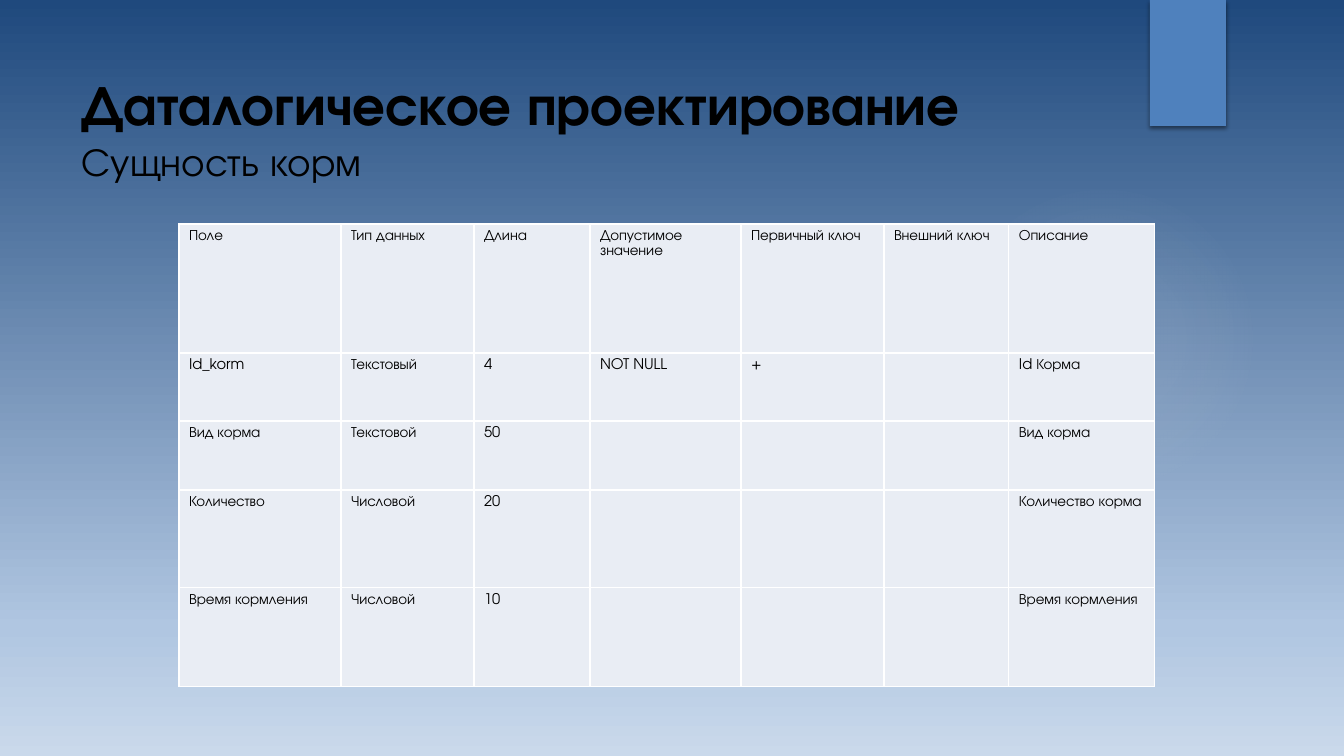
import pptx
import pptx.util
import pptx.oxml
from pptx.dml.color import RGBColor
from pptx.enum.shapes import MSO_SHAPE
from pptx.enum.text import MSO_ANCHOR, PP_ALIGN

TITLE = ("Даталогическое проектирование", "Сущность корм")
TITLE_SIZES = (40, 28)
ROWS = [
    ("Поле", "Тип данных", "Длина", "Допустимое значение", "Первичный ключ", "Внешний ключ", "Описание"),
    ("Id_korm", "Текстовый", "4", "NOT NULL", "+", "", "Id Корма"),
    ("Вид корма", "Текстовой", "50", "", "", "", "Вид корма"),
    ("Количество", "Числовой", "20", "", "", "", "Количество корма"),
    ("Время кормления", "Числовой", "10", "", "", "", "Время кормления"),
]
COL_WIDTHS = (162, 133, 116, 151, 143, 125, 146)
ROW_HEIGHTS = (129, 68, 69, 98, 99)
FONT = "TeX Gyre Adventor"
COLORS = {"text": "000000", "cell": "E9EDF4", "border": "FFFFFF", "tab": "4F81BD",
          "glow": "F5F4ED", "sky_top": "1F497D", "sky_low": "B0C6E1", "sky_end": "CAD9EB"}
SKY = [(0, "sky_top", 100), (83, "sky_low", 100), (100, "sky_end", 100)]
GLOW = [(0, "glow", 7), (36, "glow", 6), (69, "glow", 0)]
LINEAR = '<a:lin ang="5400000" scaled="0"/>'
RADIAL = '<a:path path="circle"><a:fillToRect l="50000" t="50000" r="50000" b="50000"/></a:path>'
NS = 'xmlns:a="http://schemas.openxmlformats.org/drawingml/2006/main"'


def px(n):
    return pptx.util.Emu(round(n * 914400 / 100.8))


def rgb(name):
    return RGBColor.from_string(COLORS[name])


def color_xml(name, alpha):
    return f'<a:srgbClr val="{COLORS[name]}"><a:alpha val="{alpha * 1000}"/></a:srgbClr>'


def gradient(stops, direction):
    gs = "".join(f'<a:gs pos="{pos * 1000}">{color_xml(name, alpha)}</a:gs>' for pos, name, alpha in stops)
    return pptx.oxml.parse_xml(f'<a:gradFill {NS} rotWithShape="1"><a:gsLst>{gs}</a:gsLst>{direction}</a:gradFill>')


def replace_fill(fill, new):
    """Swap the solid fill just set for a gradient element."""
    fill.solid()
    old = fill._xPr.find(pptx.oxml.ns.qn("a:solidFill"))
    old.getparent().replace(old, new)


def add_plain(s, kind, x, y, w, h):
    sp = s.shapes.add_shape(kind, px(x), px(y), px(w), px(h))
    sp.shadow.inherit = False
    sp.line.fill.background()
    return sp


def style_run(r, size, bold=False):
    r.font.name, r.font.size, r.font.bold = FONT, pptx.util.Pt(size), bold
    r.font.color.rgb = rgb("text")


def add_backdrop(s):
    replace_fill(s.background.fill, gradient(SKY, LINEAR))
    glow = add_plain(s, MSO_SHAPE.OVAL, 949, 184, 310, 310)
    replace_fill(glow.fill, gradient(GLOW, RADIAL))
    tab = add_plain(s, MSO_SHAPE.RECTANGLE, 1150, 0, 76, 126)
    tab.fill.solid()
    tab.fill.fore_color.rgb = rgb("tab")
    effects = tab._element.spPr.find(pptx.oxml.ns.qn("a:effectLst"))
    effects.append(pptx.oxml.parse_xml(
        f'<a:outerShdw {NS} blurRad="38100" dist="25400" dir="5400000" rotWithShape="0">'
        f'{color_xml("text", 45)}</a:outerShdw>'))


def add_title(s):
    tf = s.shapes.add_textbox(px(72), px(50), px(1037), px(154)).text_frame
    tf.word_wrap = True
    tf.vertical_anchor = MSO_ANCHOR.MIDDLE
    p = tf.paragraphs[0]
    p.text = "\v".join(TITLE)
    p.alignment = PP_ALIGN.LEFT
    for r, size, bold in zip(p.runs, TITLE_SIZES, (True, False)):
        style_run(r, size, bold)


def style_cell(cell, text):
    cell.fill.solid()
    cell.fill.fore_color.rgb = rgb("cell")
    p = cell.text_frame.paragraphs[0]
    p.text = text
    p.line_spacing = 1.07
    for r in p.runs:
        style_run(r, 10.5)
    tcPr = cell._tc.get_or_add_tcPr()
    for i, side in enumerate(("lnL", "lnR", "lnT", "lnB")):
        tcPr.insert(i, pptx.oxml.parse_xml(
            f'<a:{side} {NS} w="12700"><a:solidFill>{color_xml("border", 100)}</a:solidFill></a:{side}>'))


def add_field_table(s):
    table = s.shapes.add_table(len(ROWS), len(COL_WIDTHS), px(179), px(224),
                               px(sum(COL_WIDTHS)), px(sum(ROW_HEIGHTS))).table
    table.first_row = table.horz_banding = False
    for col, w in zip(table.columns, COL_WIDTHS):
        col.width = px(w)
    for row, h, texts in zip(table.rows, ROW_HEIGHTS, ROWS):
        row.height = px(h)
        for cell, text in zip(row.cells, texts):
            style_cell(cell, text)


def main():
    prs = pptx.Presentation()
    prs.slide_width, prs.slide_height = px(1344), px(756)
    s = prs.slides.add_slide(prs.slide_layouts[6])
    add_backdrop(s)
    add_title(s)
    add_field_table(s)
    prs.save("out.pptx")


if __name__ == "__main__":
    main()
